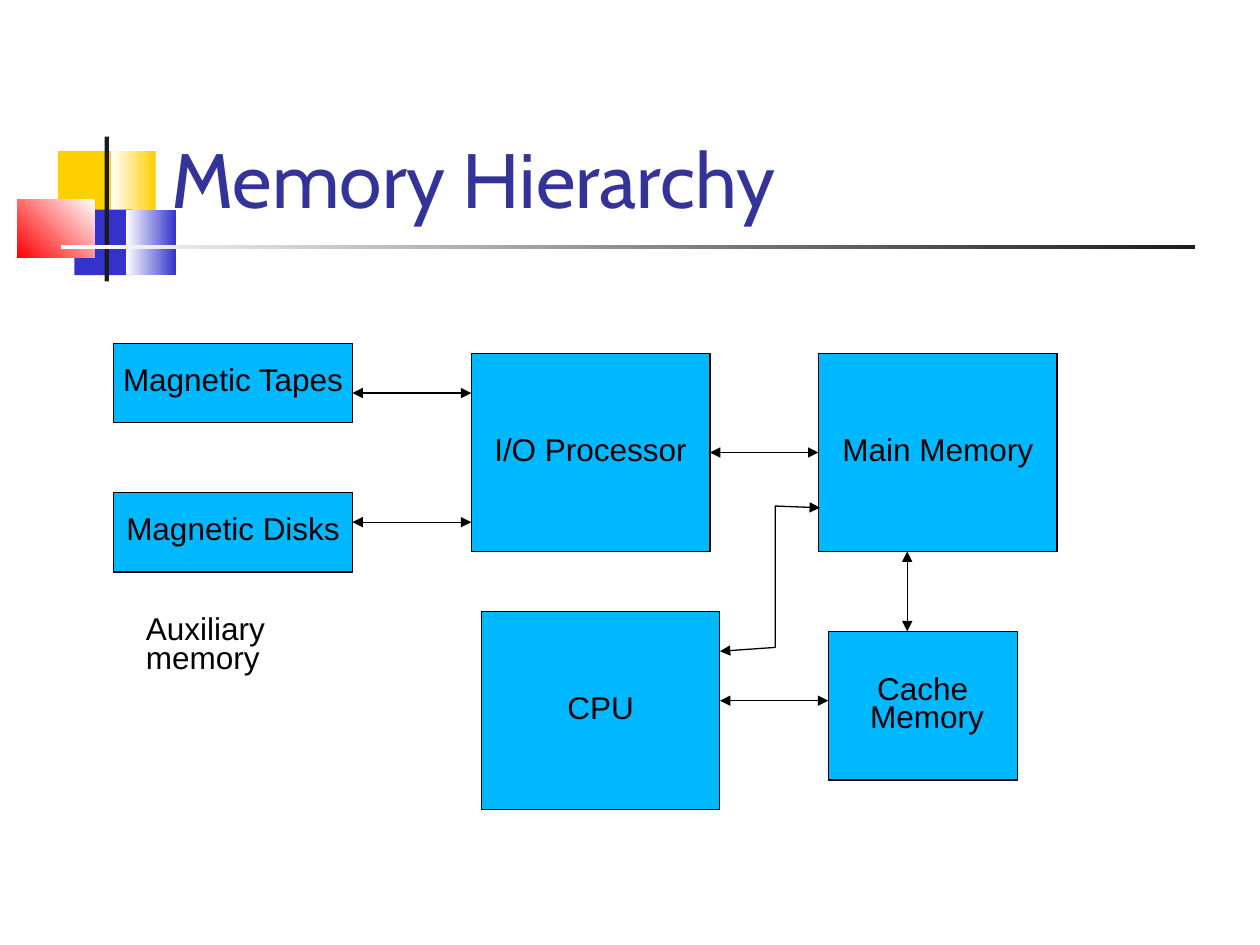
from dataclasses import dataclass

from lxml.etree import SubElement
from pptx import Presentation
from pptx.dml.color import RGBColor
from pptx.enum.shapes import MSO_CONNECTOR, MSO_SHAPE
from pptx.enum.text import MSO_ANCHOR, PP_ALIGN
from pptx.oxml.ns import qn
from pptx.util import Pt


@dataclass(frozen=True)
class Theme:
    title: RGBColor = RGBColor(0x33, 0x33, 0x99)
    block: RGBColor = RGBColor(0x00, 0xB8, 0xFF)
    black: RGBColor = RGBColor(0x00, 0x00, 0x00)
    white: RGBColor = RGBColor(0xFF, 0xFF, 0xFF)
    charcoal: RGBColor = RGBColor(0x1C, 0x1C, 0x1C)
    yellow: RGBColor = RGBColor(0xFF, 0xCF, 0x01)
    blue: RGBColor = RGBColor(0x33, 0x33, 0xCC)
    red: RGBColor = RGBColor(0xFF, 0x00, 0x00)
    title_size: float = 44
    label_size: float = 18
    line_width: float = 0.75


theme = Theme()


def write_text(shape, text, *, font="Arial", size=theme.label_size,
               color=theme.black, align=PP_ALIGN.LEFT,
               anchor=MSO_ANCHOR.TOP, spacing=0.76, wrap=True):
    frame = shape.text_frame
    frame.word_wrap = wrap
    frame.vertical_anchor = anchor
    frame.text = text
    for paragraph in frame.paragraphs:
        paragraph.alignment = align
        paragraph.line_spacing = spacing
        paragraph.font.name = font
        paragraph.font.size = Pt(size)
        paragraph.font.color.rgb = color


def style_arrow(arrow):
    """Draw a thin black line with an arrowhead at both ends and no shadow."""
    arrow.line.color.rgb = theme.black
    arrow.line.width = Pt(theme.line_width)
    properties = arrow.element.spPr
    outline = properties.find(qn("a:ln"))
    for end in ("a:headEnd", "a:tailEnd"):
        SubElement(outline, qn(end), type="triangle")
    SubElement(properties, qn("a:effectLst"))


deck = Presentation()
deck.slide_width, deck.slide_height = Pt(720), Pt(540)
slide = deck.slides.add_slide(deck.slide_layouts[6])
shapes = slide.shapes

# Title ornament: left, top, width, height, colours, gradient angle
ornament = [
    (33.1, 86.4, 34.6, 37.4, [theme.yellow], None),
    (63.4, 86.4, 25.6, 37.4, [theme.yellow, theme.white], 180),
    (42.5, 119.8, 33.1, 37.4, [theme.blue], None),
    (72, 119.8, 28.8, 37.4, [theme.blue, theme.white], 180),
    (10, 113.8, 44, 33.4, [theme.white, theme.red], 225),
    (59.8, 78, 2.5, 82.8, [theme.charcoal], None),
    (34.8, 140.1, 648, 2.5, [theme.charcoal, theme.white], 180),
]
for left, top, width, height, colors, angle in ornament:
    patch = shapes.add_shape(MSO_SHAPE.RECTANGLE, Pt(left), Pt(top), Pt(width), Pt(height))
    patch.shadow.inherit = False
    patch.line.fill.background()
    if angle is None:
        patch.fill.solid()
        patch.fill.fore_color.rgb = colors[0]
    else:
        patch.fill.gradient()
        patch.fill.gradient_angle = angle
        for stop, color, position in zip(patch.fill.gradient_stops, colors, (0, 1)):
            stop.color.rgb = color
            stop.position = position

title = shapes.add_textbox(Pt(90.7), Pt(15.8), Pt(613.4), Pt(115.9))
write_text(title, "Memory Hierarchy", font="Cabin", size=theme.title_size,
           color=theme.title, anchor=MSO_ANCHOR.BOTTOM, spacing=1.04)

# Memory units: label, left, top, width, height
units = [
    ("Magnetic Tapes", 65, 196.4, 136.4, 45.2),
    ("Magnetic Disks", 65, 281.6, 136.4, 45.2),
    ("I/O Processor", 269.3, 202, 136.4, 113.2),
    ("Main Memory", 467.7, 202, 136.4, 113.2),
    ("Cache\n Memory", 473.3, 360.8, 108, 85),
    ("CPU", 275, 349.4, 136.4, 113.2),
]
blocks = {}
for label, left, top, width, height in units:
    block = shapes.add_shape(MSO_SHAPE.RECTANGLE, Pt(left), Pt(top), Pt(width), Pt(height))
    block.shadow.inherit = False
    block.fill.solid()
    block.fill.fore_color.rgb = theme.block
    block.line.color.rgb = theme.black
    block.line.width = Pt(theme.line_width)
    write_text(block, label, align=PP_ALIGN.CENTER, anchor=MSO_ANCHOR.MIDDLE, wrap=False)
    blocks[label] = block

auxiliary = shapes.add_textbox(Pt(76.3), Pt(349.4), Pt(90.7), Pt(40.3))
write_text(auxiliary, "Auxiliary memory")

# Data paths away from the side middles: start x, start y, end x, end y
data_paths = [
    (201.4, 224.6, 269.3, 224.6),
    (201.4, 298.4, 269.3, 298.4),
    (518.4, 315.2, 518.4, 360.8),
    (411.4, 400.4, 473.3, 400.4),
]
for ends in data_paths:
    style_arrow(shapes.add_connector(MSO_CONNECTOR.STRAIGHT, *map(Pt, ends)))

io_to_main = shapes.add_connector(MSO_CONNECTOR.STRAIGHT, 0, 0, 0, 0)
io_to_main.begin_connect(blocks["I/O Processor"], 3)
io_to_main.end_connect(blocks["Main Memory"], 1)
style_arrow(io_to_main)

main_to_cpu = [(468.6, 290.2), (443, 289.2), (443, 370), (411.4, 372.2)]
corners = [(Pt(x), Pt(y)) for x, y in main_to_cpu]
builder = shapes.build_freeform(*corners[0])
builder.add_line_segments(corners[1:], close=False)
bent_path = builder.convert_to_shape()
bent_path.fill.background()
style_arrow(bent_path)

deck.save("out.pptx")
